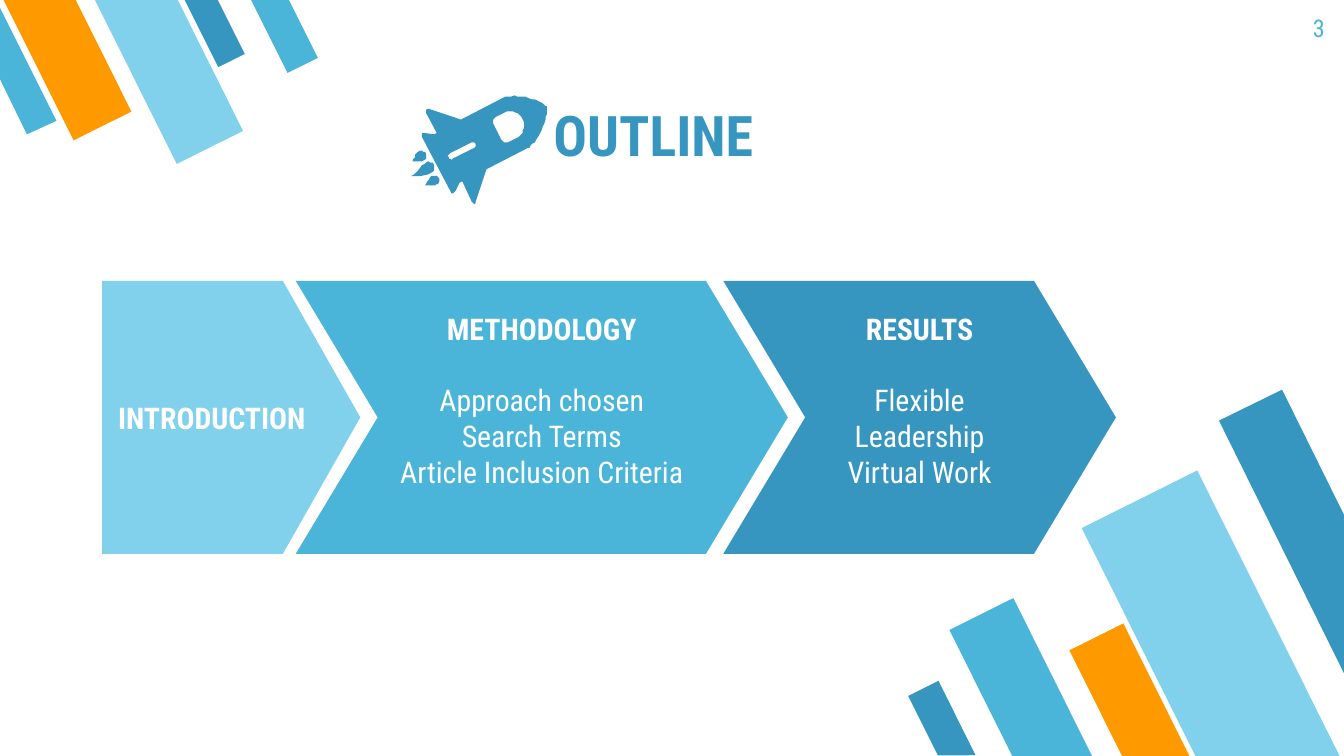
"""Build the outline slide with three process arrows, a rocket and corner bars."""
import pptx
import pptx.dml.color
import pptx.enum.shapes
import pptx.enum.text
import pptx.util

Cm = pptx.util.Cm
Pt = pptx.util.Pt
SHAPES = pptx.enum.shapes.MSO_SHAPE
ALIGN = pptx.enum.text.PP_ALIGN
ANCHOR = pptx.enum.text.MSO_ANCHOR
FONT = "Roboto Condensed"
PALE, SKY, DEEP, ORANGE, WHITE = "81D1EC", "4BB5D9", "3796BF", "FF9900", "FFFFFF"
HUNDREDTH_INCH = Cm(0.0254)
GAP = Pt(18.75)


def color(value):
    return pptx.dml.color.RGBColor.from_string(value)


def paint(shape, value):
    shape.fill.solid()
    shape.fill.fore_color.rgb = color(value)
    shape.line.fill.background()
    shape.shadow.inherit = False


presentation = pptx.Presentation()
presentation.slide_width = Cm(25.4)
presentation.slide_height = Cm(14.29)
slide = presentation.slides.add_slide(presentation.slide_layouts[6])
slide.background.fill.solid()
slide.background.fill.fore_color.rgb = color(WHITE)

bars = [
    (18.62, 11.43, 1.35, 3.35, 153.5, SKY),
    (21.67, 9.12, 2.44, 6.07, 153.5, PALE),
    (20.78, 11.89, 1.14, 2.82, 153.5, ORANGE),
    (17.48, 12.93, 0.64, 1.57, 153.5, DEEP),
    (3.78, -0.2, 0.56, 1.42, 333.5, DEEP),
    (0.66, -0.46, 1.22, 3, 333.5, ORANGE),
    (2.49, -0.51, 1.4, 3.48, 333.5, PALE),
    (5.05, -0.25, 0.64, 1.57, 333.5, SKY),
]
for left, top, width, height, rotation, fill in bars:
    bar = slide.shapes.add_shape(
        SHAPES.FLOWCHART_MANUAL_INPUT, Cm(left), Cm(top), Cm(width), Cm(height))
    bar.rotation = rotation
    bar.element.spPr.get_or_add_xfrm().set("flipH", "1")
    paint(bar, fill)

right_bar = [(954, 290), (907, 313), (1000, 501), (1000, 383)]
left_bar = [(20, 100), (42, 90), (0, 6), (0, 59)]
rocket_window = [
    (384, 84), (385, 84), (387, 86), (388, 87), (389, 89), (390, 91), (390, 95),
    (389, 97), (389, 99), (388, 100), (386, 102), (384, 103), (378, 106), (375, 106),
    (374, 105), (373, 104), (367, 92), (367, 89), (368, 88), (369, 87), (375, 84),
    (377, 83), (382, 83),
]
rocket_slot = [
    (352, 106), (353, 106), (354, 107), (354, 109), (353, 110), (337, 118), (336, 119),
    (335, 118), (334, 118), (334, 117), (333, 116), (334, 115), (335, 114), (351, 106),
]
rocket_body = [
    (396, 74), (393, 73), (391, 72), (385, 72), (383, 71), (380, 72), (376, 72),
    (374, 73), (343, 89), (319, 81), (318, 81), (317, 82), (317, 84), (325, 99),
    (323, 100), (316, 99), (314, 99), (314, 102), (335, 142), (336, 144), (337, 144),
    (338, 143), (339, 142), (342, 136), (344, 135), (351, 150), (352, 151), (353, 152),
    (354, 151), (354, 150), (362, 126), (393, 110), (394, 110), (395, 108), (396, 107),
    (398, 106), (399, 104), (401, 101), (402, 99), (403, 97), (404, 94), (405, 92),
    (406, 89), (406, 87), (407, 85), (407, 79), (406, 79), (404, 77), (402, 76),
    (400, 75), (398, 74),
]
large_flame = [
    (320, 121), (319, 120), (317, 121), (316, 122), (314, 123), (311, 127), (308, 130),
    (306, 131), (308, 131), (313, 131), (318, 130), (320, 129), (322, 128), (323, 127),
    (323, 123), (322, 121),
]
lower_flame = [
    (324, 131), (321, 131), (320, 132), (319, 134), (318, 135), (317, 137), (316, 138),
    (324, 138), (325, 137), (326, 137), (327, 135), (327, 133), (326, 132), (325, 131),
]
upper_flame = [
    (314, 112), (313, 112), (311, 113), (310, 114), (309, 115), (309, 117), (307, 119),
    (307, 120), (314, 120), (316, 119), (317, 118), (317, 114), (316, 113), (315, 113),
]
outlines = [
    ([right_bar], DEEP),
    ([left_bar], SKY),
    ([rocket_window, rocket_slot, rocket_body], DEEP),
    ([large_flame], DEEP),
    ([lower_flame], DEEP),
    ([upper_flame], DEEP),
]
for contours, fill in outlines:
    builder = slide.shapes.build_freeform(*contours[0][0], scale=HUNDREDTH_INCH)
    builder.add_line_segments(contours[0][1:], close=True)
    for contour in contours[1:]:
        builder.move_to(*contour[0])
        builder.add_line_segments(contour[1:], close=True)
    paint(builder.convert_to_shape(), fill)

texts = []
arrows = [
    (SHAPES.PENTAGON, 1.93, 4.88, PALE, ["INTRODUCTION"]),
    (SHAPES.CHEVRON, 5.59, 9.3, SKY,
     ["METHODOLOGY", "Approach chosen", "Search Terms", "Article Inclusion Criteria"]),
    (SHAPES.CHEVRON, 13.67, 7.42, DEEP,
     ["RESULTS", "Flexible", "Leadership", "Virtual Work"]),
]
for kind, left, width, fill, lines in arrows:
    arrow = slide.shapes.add_shape(kind, Cm(left), Cm(5.31), Cm(width), Cm(5.16))
    arrow.adjustments[0] = 0.3
    paint(arrow, fill)
    texts.append((arrow, lines, 16, WHITE, True, ALIGN.CENTER, ANCHOR.MIDDLE))

number = slide.shapes.add_textbox(Cm(23.77), 0, Cm(1.52), Cm(1.09))
texts.append((number, ["3"], 13, SKY, False, ALIGN.RIGHT, ANCHOR.TOP))
title = slide.shapes.add_textbox(Cm(10.21), Cm(1.55), Cm(4.98), Cm(1.88))
texts.append((title, ["OUTLINE"], 30, DEEP, True, ALIGN.LEFT, ANCHOR.BOTTOM))

for shape, lines, size, text_color, bold_heading, alignment, anchor in texts:
    frame = shape.text_frame
    frame.word_wrap = True
    frame.vertical_anchor = anchor
    frame.margin_left = frame.margin_right = Cm(0.25)
    frame.margin_top = frame.margin_bottom = Cm(0.25)
    if len(lines) > 1:
        frame.margin_bottom = Cm(0.25) + GAP
        frame.paragraphs[0].space_after = GAP
    for index, line in enumerate(lines):
        paragraph = frame.add_paragraph() if index else frame.paragraphs[0]
        paragraph.alignment = alignment
        run = paragraph.add_run()
        run.text = line
        run.font.name = FONT
        run.font.size = Pt(size)
        run.font.bold = bold_heading and index == 0
        run.font.color.rgb = color(text_color)

presentation.save("out.pptx")
